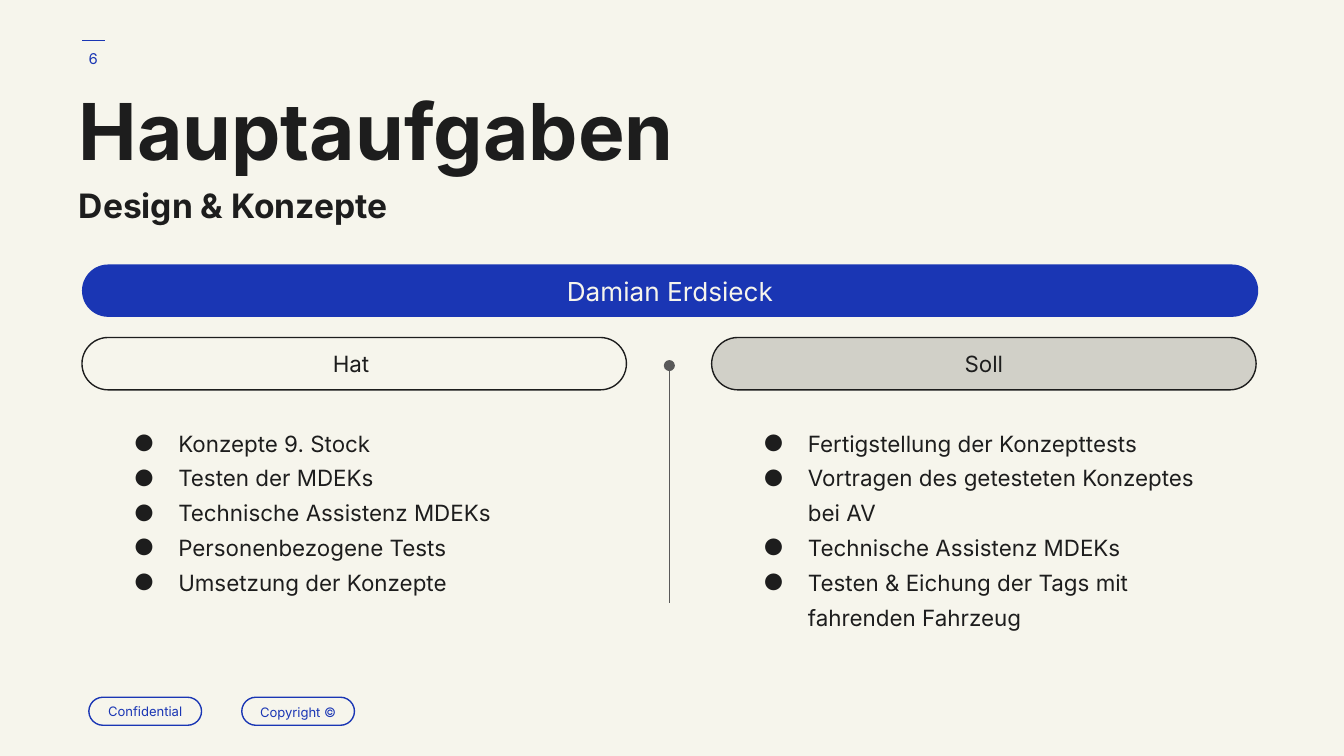
from dataclasses import dataclass
from typing import Optional

from lxml.etree import SubElement
from pptx import Presentation
from pptx.dml.color import RGBColor
from pptx.enum.shapes import MSO_CONNECTOR as Line, MSO_SHAPE as Shape
from pptx.enum.text import MSO_ANCHOR as Anchor, PP_ALIGN as Align
from pptx.oxml.ns import qn
from pptx.util import Cm, Pt

COLORS = {
    "paper": "F6F5EC",
    "ink": "1D1D1D",
    "blue": "1A36B4",
    "stone": "D1D0C8",
    "gray": "595959",
}
FONT = "Inter"
INSET = 0.25
LEFT = 1.55
COLUMN_STEP = 11.9


@dataclass
class Label:
    text: str
    x: float
    y: float
    w: float
    h: float
    size: float
    color: str = "ink"
    bold: bool = False
    centered: bool = False
    spacing: float = 1.0


@dataclass
class Pill:
    label: Label
    fill: Optional[str] = None
    line: Optional[str] = None


@dataclass
class Rule:
    x1: float
    y1: float
    x2: float
    y2: float
    color: str
    dot: bool = False


@dataclass
class Column:
    heading: str
    fill: Optional[str]
    items: list[str]


def rgb(name: str) -> RGBColor:
    return RGBColor.from_string(COLORS[name])


def prepare_frame(tf, anchor) -> None:
    tf.word_wrap = True
    tf.vertical_anchor = anchor
    tf.margin_left = tf.margin_right = tf.margin_top = tf.margin_bottom = Cm(INSET)


def add_run(p, text: str, size: float, color: str, bold: bool = False) -> None:
    r = p.add_run()
    r.text = text
    r.font.name = FONT
    r.font.size = Pt(size)
    r.font.bold = bold
    r.font.color.rgb = rgb(color)


def write_label(tf, label: Label) -> None:
    prepare_frame(tf, Anchor.MIDDLE if label.centered else Anchor.TOP)
    p = tf.paragraphs[0]
    p.alignment = Align.CENTER if label.centered else Align.LEFT
    p.line_spacing = label.spacing
    add_run(p, label.text, label.size, label.color, label.bold)


def draw_label(s, label: Label) -> None:
    sp = s.shapes.add_textbox(Cm(label.x), Cm(label.y), Cm(label.w), Cm(label.h))
    write_label(sp.text_frame, label)


def draw_pill(s, pill: Pill) -> None:
    label = pill.label
    sp = s.shapes.add_shape(
        Shape.ROUNDED_RECTANGLE, Cm(label.x), Cm(label.y), Cm(label.w), Cm(label.h)
    )
    sp.adjustments[0] = 0.5
    sp.shadow.inherit = False
    if pill.fill:
        sp.fill.solid()
        sp.fill.fore_color.rgb = rgb(pill.fill)
    else:
        sp.fill.background()
    if pill.line:
        sp.line.color.rgb = rgb(pill.line)
        sp.line.width = Pt(0.75)
    else:
        sp.line.fill.background()
    write_label(sp.text_frame, label)


def draw_rule(s, rule: Rule) -> None:
    sp = s.shapes.add_connector(
        Line.STRAIGHT, Cm(rule.x1), Cm(rule.y1), Cm(rule.x2), Cm(rule.y2)
    )
    sp.line.color.rgb = rgb(rule.color)
    sp.line.width = Pt(0.75)
    if rule.dot:
        SubElement(sp.line._get_or_add_ln(), qn("a:headEnd"), type="oval")
    SubElement(sp._element.spPr, qn("a:effectLst"))


def draw_bullets(s, items: list[str], x: float) -> None:
    tf = s.shapes.add_textbox(Cm(x), Cm(7.72), Cm(9.65), Cm(3.86)).text_frame
    prepare_frame(tf, Anchor.TOP)
    for i, item in enumerate(items):
        p = tf.add_paragraph() if i else tf.paragraphs[0]
        pPr = p._p.get_or_add_pPr()
        pPr.set("marL", str(Cm(1.27)))
        pPr.set("indent", str(-Cm(0.84)))
        color = SubElement(pPr, qn("a:buClr"))
        SubElement(color, qn("a:srgbClr"), val=COLORS["ink"])
        SubElement(pPr, qn("a:buFont"), typeface=FONT)
        SubElement(pPr, qn("a:buChar"), char="●")
        p.line_spacing = 1.3
        add_run(p, item, 12, "ink")


def draw_column(s, column: Column, offset: float) -> None:
    heading = Label(column.heading, LEFT + offset, 6.38, 10.29, 0.99, 12, centered=True)
    draw_pill(s, Pill(heading, column.fill, "ink"))
    draw_bullets(s, column.items, 1.85 + offset)


LABELS = [
    Label("6", 1.17, 0.56, 1.19, 1.09, 8, "blue", centered=True),
    Label("Hauptaufgaben", 1.24, 1.65, 13.54, 1.98, 42, bold=True, spacing=0.8),
    Label("Design & Konzepte", 1.24, 3.4, 13.74, 0.99, 18, bold=True, spacing=0.8),
]
PILLS = [
    Pill(Label("Confidential", 1.68, 13.18, 2.13, 0.53, 7, "blue", centered=True),
         line="blue"),
    Pill(Label("Copyright ©", 4.57, 13.18, 2.13, 0.53, 7, "blue", centered=True,
               spacing=1.15), line="blue"),
    Pill(Label("Damian Erdsieck", LEFT, 5, 22.23, 0.99, 14, "paper", centered=True),
         fill="blue"),
]
RULES = [
    Rule(1.98, 0.77, LEFT, 0.77, "blue"),
    Rule(12.65, 6.91, 12.65, 11.4, "gray", dot=True),
]
COLUMNS = [
    Column("Hat ", None, [
        "Konzepte 9. Stock",
        "Testen der MDEKs",
        "Technische Assistenz MDEKs",
        "Personenbezogene Tests",
        "Umsetzung der Konzepte",
    ]),
    Column("Soll", "stone", [
        "Fertigstellung der Konzepttests",
        "Vortragen des getesteten Konzeptes bei AV",
        "Technische Assistenz MDEKs",
        "Testen & Eichung der Tags mit fahrenden Fahrzeug",
    ]),
]


def main() -> None:
    prs = Presentation()
    prs.slide_width, prs.slide_height = Cm(25.4), Cm(14.29)
    s = prs.slides.add_slide(prs.slide_layouts[6])
    s.background.fill.solid()
    s.background.fill.fore_color.rgb = rgb("paper")
    for rule in RULES:
        draw_rule(s, rule)
    for label in LABELS:
        draw_label(s, label)
    for pill in PILLS:
        draw_pill(s, pill)
    for i, column in enumerate(COLUMNS):
        draw_column(s, column, i * COLUMN_STEP)
    prs.save("out.pptx")


if __name__ == "__main__":
    main()
